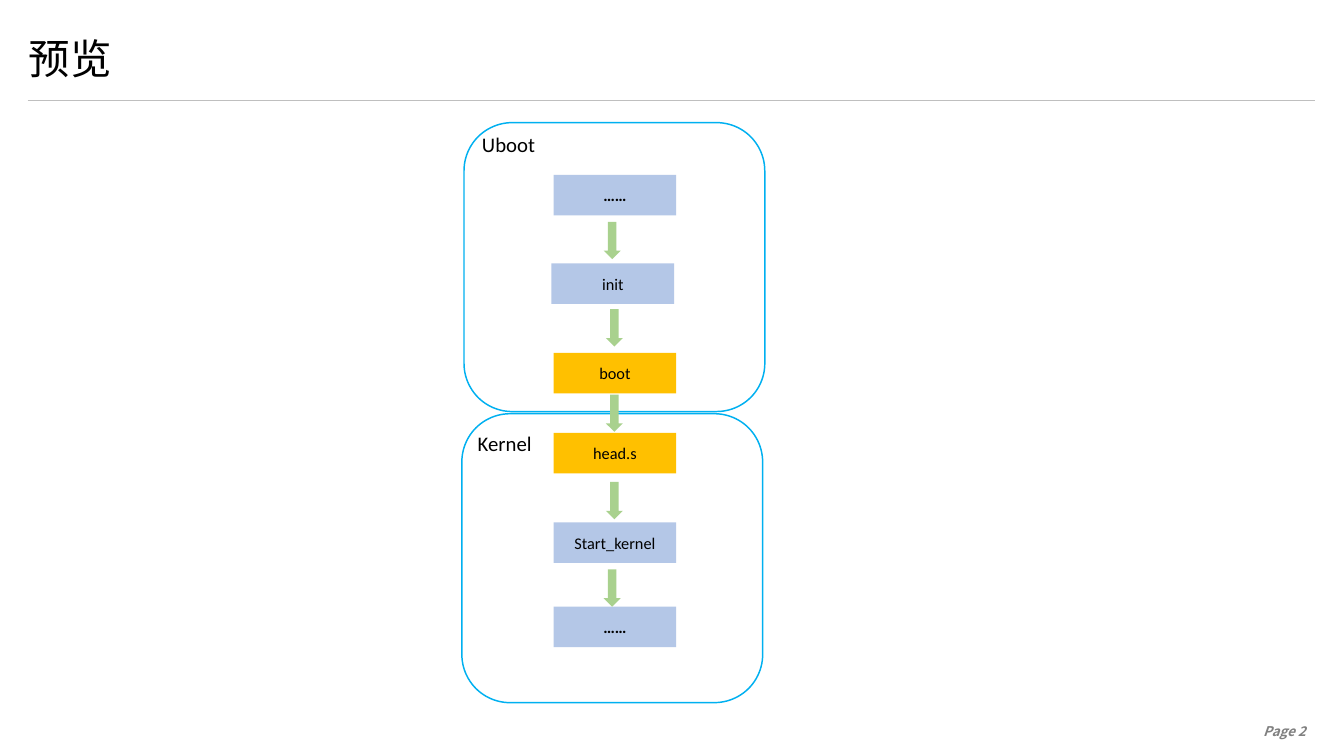
"""Build the boot sequence overview slide."""
from lxml import etree
from pptx import Presentation
from pptx.dml.color import RGBColor
from pptx.enum import shapes, text
from pptx.oxml import ns
from pptx.util import Inches, Pt

BLACK = RGBColor(0x00, 0x00, 0x00)
WHITE = RGBColor(0xFF, 0xFF, 0xFF)
GRAY = RGBColor(0x80, 0x80, 0x80)
RULE_GRAY = RGBColor(0xBF, 0xBF, 0xBF)
FRAME_BLUE = RGBColor(0x00, 0xB0, 0xF0)
STEP_BLUE = RGBColor(0xB4, 0xC7, 0xE7)
HANDOVER_GOLD = RGBColor(0xFF, 0xC0, 0x00)
ARROW_GREEN = RGBColor(0xA9, 0xD1, 0x8E)
LATIN_FONT = "Calibri"
CJK_FONT = "Noto Sans CJK SC"

STAGES = [
    ("Uboot", (4.35, 1.15), (4.42, 1.19)),
    ("Kernel", (4.33, 3.88), (4.38, 3.99)),
]
STEPS = [
    ("……", 5.19, 1.64, STEP_BLUE, True),
    ("init", 5.17, 2.47, STEP_BLUE, False),
    ("boot", 5.19, 3.31, HANDOVER_GOLD, False),
    ("head.s", 5.19, 4.06, HANDOVER_GOLD, False),
    ("Start_kernel", 5.19, 4.9, STEP_BLUE, False),
    ("……", 5.19, 5.69, STEP_BLUE, True),
]
ARROWS = [(5.66, 2.08), (5.68, 2.9), (5.68, 3.7), (5.68, 4.52), (5.66, 5.34)]


def add_run(paragraph, words, size, color=BLACK, font=LATIN_FONT, bold=False, italic=False):
    """Append a styled run to a paragraph."""
    run = paragraph.add_run()
    run.text = words
    run.font.name = font
    run.font.size = Pt(size)
    run.font.color.rgb = color
    run.font.bold = bold
    run.font.italic = italic
    return run


def add_label(slide, left, top, width, height, words, size, **style):
    """Add a text box with one run and return its frame and run."""
    label = slide.shapes.add_textbox(Inches(left), Inches(top), Inches(width), Inches(height))
    frame = label.text_frame
    frame.word_wrap = True
    return frame, add_run(frame.paragraphs[0], words, size, **style)


def add_block(slide, preset, left, top, width, height, fill, outline=None):
    """Add a flat filled shape, outlined only when a colour is given."""
    block = slide.shapes.add_shape(
        preset, Inches(left), Inches(top), Inches(width), Inches(height))
    block.shadow.inherit = False
    block.fill.solid()
    block.fill.fore_color.rgb = fill
    if outline is None:
        block.line.fill.background()
    else:
        block.line.color.rgb = outline
        block.line.width = Pt(1)
    return block


def add_step(slide, words, left, top, fill, bold):
    """Add one labelled step of the boot sequence."""
    step = add_block(slide, shapes.MSO_SHAPE.RECTANGLE, left, top, 1.15, 0.38, fill)
    frame = step.text_frame
    frame.vertical_anchor = text.MSO_ANCHOR.MIDDLE
    frame.paragraphs[0].alignment = text.PP_ALIGN.CENTER
    add_run(frame.paragraphs[0], words, 11, bold=bold)


def add_rule(slide, left, right, top):
    """Add the thin line under the title."""
    rule = slide.shapes.add_connector(
        shapes.MSO_CONNECTOR.STRAIGHT, Inches(left), Inches(top), Inches(right), Inches(top))
    rule.line.color.rgb = RULE_GRAY
    rule.line.width = Pt(0.5)
    etree.SubElement(rule._element.spPr, ns.qn("a:effectLst"))


def add_title(slide, words):
    """Add the slide title with its East Asian font."""
    frame, run = add_label(slide, 0.17, 0.27, 7.15, 0.6, words, 28)
    frame.vertical_anchor = text.MSO_ANCHOR.MIDDLE
    frame.paragraphs[0].line_spacing = 0.9
    east_asian = etree.SubElement(run.font._element, ns.qn("a:ea"))
    east_asian.set("typeface", CJK_FONT)


def add_page_number(slide, words):
    """Add the right-aligned page number."""
    frame, _ = add_label(slide, 9.95, 6.73, 2.39, 0.24, words, 9,
                         color=GRAY, font=CJK_FONT, bold=True, italic=True)
    frame.paragraphs[0].alignment = text.PP_ALIGN.RIGHT


def main():
    """Assemble and save the slide."""
    deck = Presentation()
    deck.slide_width, deck.slide_height = Inches(12.6), Inches(7.09)
    slide = deck.slides.add_slide(deck.slide_layouts[6])

    add_rule(slide, 0.26, 12.33, 0.94)
    add_page_number(slide, "Page 2")
    add_title(slide, "预览")
    for name, frame_corner, name_corner in STAGES:
        add_block(slide, shapes.MSO_SHAPE.ROUNDED_RECTANGLE, *frame_corner, 2.82, 2.71,
                  WHITE, FRAME_BLUE)
        add_label(slide, *name_corner, 0.75, 0.34, name, 14)
    for step in STEPS:
        add_step(slide, *step)
    for left, top in ARROWS:
        add_block(slide, shapes.MSO_SHAPE.DOWN_ARROW, left, top, 0.16, 0.35, ARROW_GREEN)

    deck.save("out.pptx")


if __name__ == "__main__":
    main()
